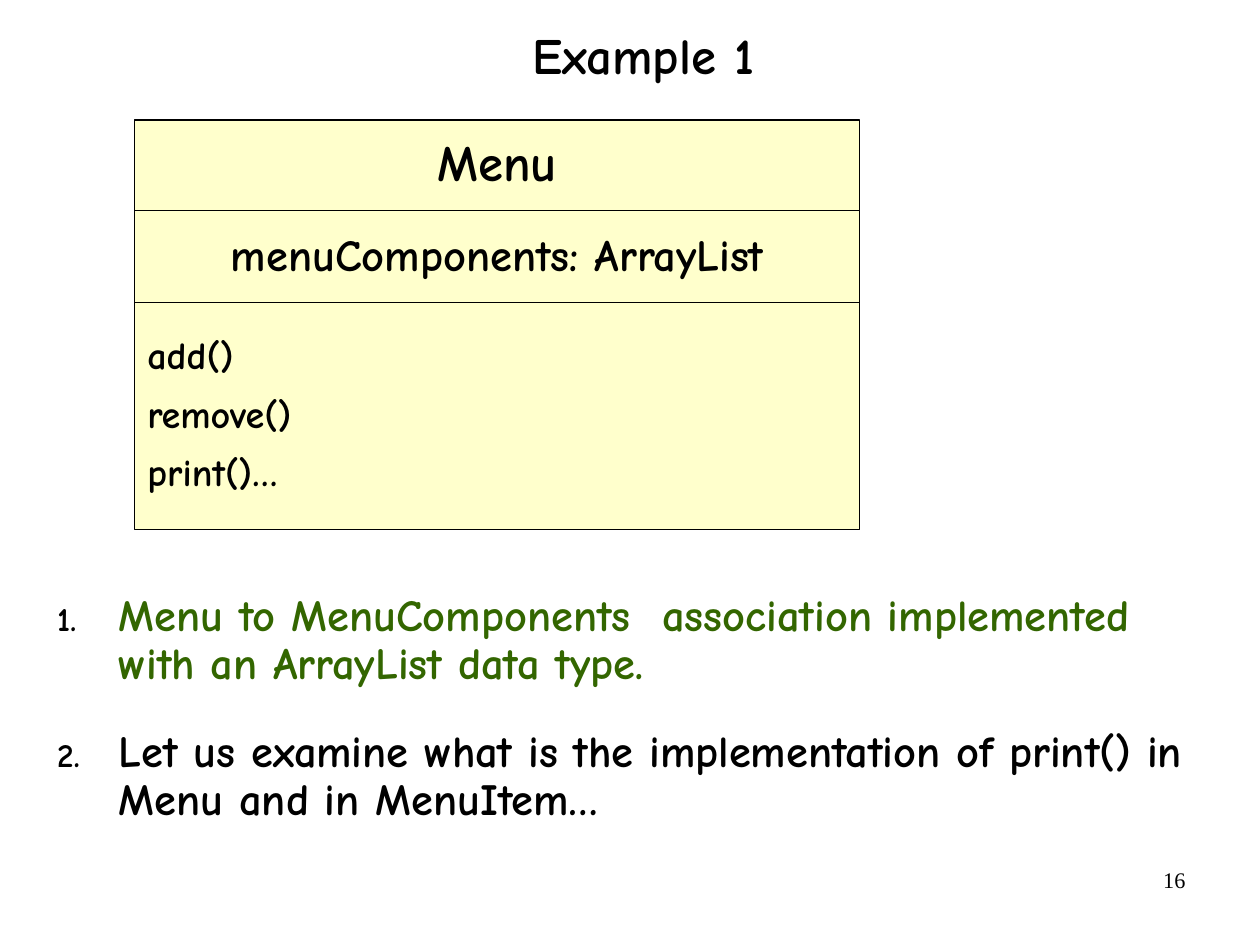
from dataclasses import dataclass

import pptx
import pptx.util
import pptx.dml.color
import pptx.enum.shapes
import pptx.enum.text
from lxml import etree
from pptx.util import Inches, Pt

ALIGN = pptx.enum.text.PP_ALIGN
ANCHOR = pptx.enum.text.MSO_ANCHOR
COMIC = "Comic Neue"
BLACK = "000000"
GREEN = "336600"
CREAM = "FFFFCC"
LEFT, WIDTH = 1.18, 6.34
INCH = 2.54


@dataclass
class Style:
    size: int
    align: ALIGN = ALIGN.LEFT
    font: str = COMIC
    bold: bool = True
    space: float = 0.9
    after: float = 10.9
    before: float = 0


@dataclass
class Row:
    top: float
    height: float
    lines: list[str]
    style: Style


TITLE = Style(32, ALIGN.CENTER, space=0.88, after=0)
NUMBER = Style(14, ALIGN.RIGHT, "Times New Roman", False, 1, 0)
POINT = Style(28, before=14)
ROWS = [
    Row(1.05, 0.79, ["Menu"], Style(32, ALIGN.CENTER)),
    Row(1.84, 0.82, ["menuComponents: ArrayList"], Style(28, ALIGN.CENTER)),
    Row(2.65, 1.98, ["add()", "remove()", "print()…"], Style(24)),
]
POINTS = [
    "Menu to MenuComponents  association implemented with an ArrayList data type.",
    "Let us examine what is the implementation of print() in Menu and in MenuItem…",
]


def color(code: str) -> pptx.dml.color.RGBColor:
    return pptx.dml.color.RGBColor.from_string(code)


def number(para) -> None:
    props = para._p.get_or_add_pPr()
    props.set("marL", str(Inches(0.54)))
    props.set("indent", str(-Inches(0.54)))
    space = pptx.oxml.ns.nsdecls("a")
    for item in (
        f'<a:buClr {space}><a:srgbClr val="{BLACK}"/></a:buClr>',
        f'<a:buSzPct {space} val="75000"/>',
        f'<a:buFont {space} typeface="{COMIC}"/>',
        f'<a:buAutoNum {space} type="arabicPeriod"/>',
    ):
        props.append(etree.fromstring(item, pptx.oxml.oxml_parser))


def write(shape, lines: list[str], style: Style, pad: tuple[float, float],
          anchor: ANCHOR, listed: bool = False) -> None:
    frame = shape.text_frame
    frame.word_wrap = True
    frame.vertical_anchor = anchor
    frame.margin_left = frame.margin_right = Inches(pad[0])
    frame.margin_top = frame.margin_bottom = Inches(pad[1])
    frame.text = "\n".join(lines)
    for index, para in enumerate(frame.paragraphs):
        if listed:
            number(para)
        para.alignment = style.align
        para.line_spacing = style.space
        para.space_before = Pt(style.before if index else 0)
        para.space_after = Pt(style.after)
        for run in para.runs:
            run.font.name = style.font
            run.font.size = Pt(style.size)
            run.font.bold = style.bold
            run.font.color.rgb = color(BLACK)


def label(slide, left: float, top: float, width: float, height: float):
    return slide.shapes.add_textbox(
        Inches(left), Inches(top), Inches(width), Inches(height))


def box(group, row: Row) -> None:
    shape = group.shapes.add_shape(
        pptx.enum.shapes.MSO_SHAPE.RECTANGLE,
        Inches(LEFT), Inches(row.top), Inches(WIDTH), Inches(row.height))
    shape.shadow.inherit = False
    shape.fill.solid()
    shape.fill.fore_color.rgb = color(CREAM)
    shape.line.color.rgb = color(BLACK)
    shape.line.width = Pt(0.75)
    write(shape, row.lines, row.style, (0.11, 0.06), ANCHOR.MIDDLE)


def main() -> None:
    deck = pptx.Presentation()
    deck.slide_width, deck.slide_height = Inches(28 / INCH), Inches(21 / INCH)
    slide = deck.slides.add_slide(deck.slide_layouts[6])
    write(label(slide, 7.9, 7.53, 2.57, 0.57), ["16"], NUMBER,
          (0.1, 0.05), ANCHOR.TOP)
    write(label(slide, 0.93, 0.11, 9.4, 0.8), ["Example 1"], TITLE,
          (0, 0), ANCHOR.MIDDLE)
    group = slide.shapes.add_group_shape()
    for row in ROWS:
        box(group, row)
    notes = label(slide, 0.39, 5.13, 10.25, 2.2)
    write(notes, POINTS, POINT, (0.11, 0.06), ANCHOR.TOP, True)
    notes.text_frame.paragraphs[0].runs[0].font.color.rgb = color(GREEN)
    deck.save("out.pptx")


if __name__ == "__main__":
    main()
